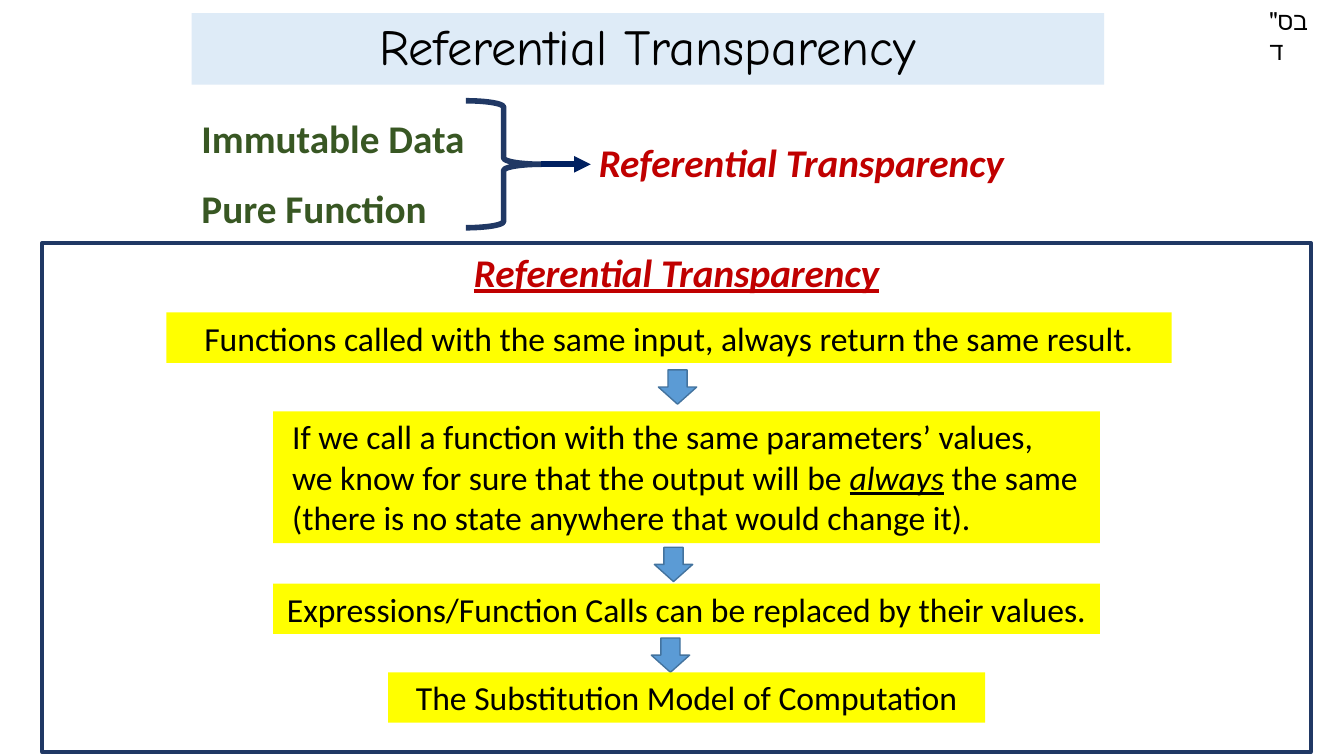
from pptx import Presentation
from pptx.dml.color import RGBColor
from pptx.enum.shapes import MSO_CONNECTOR, MSO_SHAPE
from pptx.enum.text import MSO_ANCHOR, PP_ALIGN
from pptx.oxml.ns import qn
from pptx.util import Inches, Pt
from lxml import etree

RECTANGLE = MSO_SHAPE.RECTANGLE
DOWN_ARROW = MSO_SHAPE.DOWN_ARROW
RIGHT_BRACE = MSO_SHAPE.RIGHT_BRACE
STRAIGHT = MSO_CONNECTOR.STRAIGHT
TOP, MIDDLE = MSO_ANCHOR.TOP, MSO_ANCHOR.MIDDLE
LEFT, CENTER, JUSTIFY = PP_ALIGN.LEFT, PP_ALIGN.CENTER, PP_ALIGN.JUSTIFY

COLORS = {
    "black": "000000",
    "title_band": "DEEBF7",
    "green": "385723",
    "red": "C00000",
    "navy": "203864",
    "arrow_navy": "002060",
    "step_arrow": "5B9BD5",
    "step_arrow_edge": "43739E",
    "highlight": "FFFF00",
}


def color(name):
    return RGBColor.from_string(COLORS[name])


def write_text(frame, paragraphs, size=24, font="Calibri", ink="black", bold=False,
               italic=False, underline=False, align=LEFT, anchor=TOP, spacing=None,
               indent=None):
    frame.word_wrap = True
    frame.vertical_anchor = anchor
    for index, content in enumerate(paragraphs):
        paragraph = frame.paragraphs[0] if index == 0 else frame.add_paragraph()
        paragraph.alignment = align
        if spacing:
            paragraph.line_spacing = spacing
        if indent:
            properties = paragraph._p.get_or_add_pPr()
            properties.set("marL", str(Inches(indent)))
            properties.set("indent", "0")
        pieces = [(content, False)] if isinstance(content, str) else content
        for words, emphasized in pieces:
            run = paragraph.add_run()
            run.text = words
            run.font.name = font
            run.font.size = Pt(size)
            run.font.bold = bold
            run.font.italic = italic or emphasized
            run.font.underline = underline or emphasized
            run.font.color.rgb = color(ink)


class SlideBuilder:
    def __init__(self, slide):
        self.shapes = slide.shapes

    def shape(self, kind, box, fill=None, edge=None, edge_width=1):
        shape = self.shapes.add_shape(kind, *map(Inches, box))
        shape.shadow.inherit = False
        if fill:
            shape.fill.solid()
            shape.fill.fore_color.rgb = color(fill)
        else:
            shape.fill.background()
        if edge:
            shape.line.color.rgb = color(edge)
            shape.line.width = Pt(edge_width)
        else:
            shape.line.fill.background()
        return shape

    def panel(self, box, paragraphs, fill=None, edge=None, edge_width=1, **style):
        panel = self.shape(RECTANGLE, box, fill, edge, edge_width)
        write_text(panel.text_frame, paragraphs, **style)

    def label(self, box, paragraphs, **style):
        label = self.shapes.add_textbox(*map(Inches, box))
        write_text(label.text_frame, paragraphs, **style)

    def arrow(self, start, end, ink, width):
        arrow = self.shapes.add_connector(STRAIGHT, *map(Inches, start + end))
        arrow.line.color.rgb = color(ink)
        arrow.line.width = Pt(width)
        etree.SubElement(arrow.line._get_or_add_ln(), qn("a:tailEnd"), type="triangle")
        etree.SubElement(arrow._element.spPr, qn("a:effectLst"))


def main():
    deck = Presentation()
    deck.slide_width = Inches(13.33)
    deck.slide_height = Inches(7.5)
    builder = SlideBuilder(deck.slides.add_slide(deck.slide_layouts[6]))
    concept = "Referential Transparency"

    builder.label((12.49, 0, 0.7, 0.4), ['בס"ד'], size=18)
    builder.panel((1.9, 0.13, 9.05, 0.71), [concept], fill="title_band", size=36,
                  font="Comic Neue", align=CENTER, anchor=MIDDLE, spacing=0.9)

    builder.label((1.9, 0.85, 2.92, 1.44), ["Immutable Data", "Pure Function"],
                  size=28, ink="green", bold=True, spacing=1.5)
    builder.shape(RIGHT_BRACE, (4.62, 1, 0.75, 1.26), edge="navy", edge_width=4)
    builder.arrow((5.37, 1.63), (5.86, 1.63), "arrow_navy", 4)
    builder.label((5.84, 1.32, 4.82, 0.58), [concept], size=28, ink="red",
                  bold=True, italic=True)

    builder.panel((0.42, 2.41, 12.58, 5.05), [concept], edge="navy", edge_width=3,
                  size=28, ink="red", bold=True, italic=True, underline=True,
                  align=CENTER)

    for left, top in ((6.53, 3.67), (6.49, 5.43), (6.46, 6.33)):
        builder.shape(DOWN_ARROW, (left, top, 0.38, 0.34), "step_arrow",
                      "step_arrow_edge")

    explanation = [
        "If we call a function with the same parameters’ values,",
        [("we know for sure that the output will be ", False), ("always", True),
         (" the same", False)],
        "(there is no state anywhere that would change it).",
    ]
    steps = [
        ((1.65, 3.1, 9.97, 0.5),
         ["Functions called with the same input, always return the same result."], {}),
        ((2.71, 4.08, 8.2, 1.31), explanation, {"align": JUSTIFY, "indent": 0.09}),
        ((2.71, 5.79, 8.2, 0.5),
         ["Expressions/Function Calls can be replaced by their values."], {}),
        ((3.85, 6.67, 5.92, 0.5), ["The Substitution Model of Computation"], {}),
    ]
    for box, paragraphs, style in steps:
        builder.panel(box, paragraphs, fill="highlight", **{"align": CENTER, **style})

    deck.save("out.pptx")


if __name__ == "__main__":
    main()
